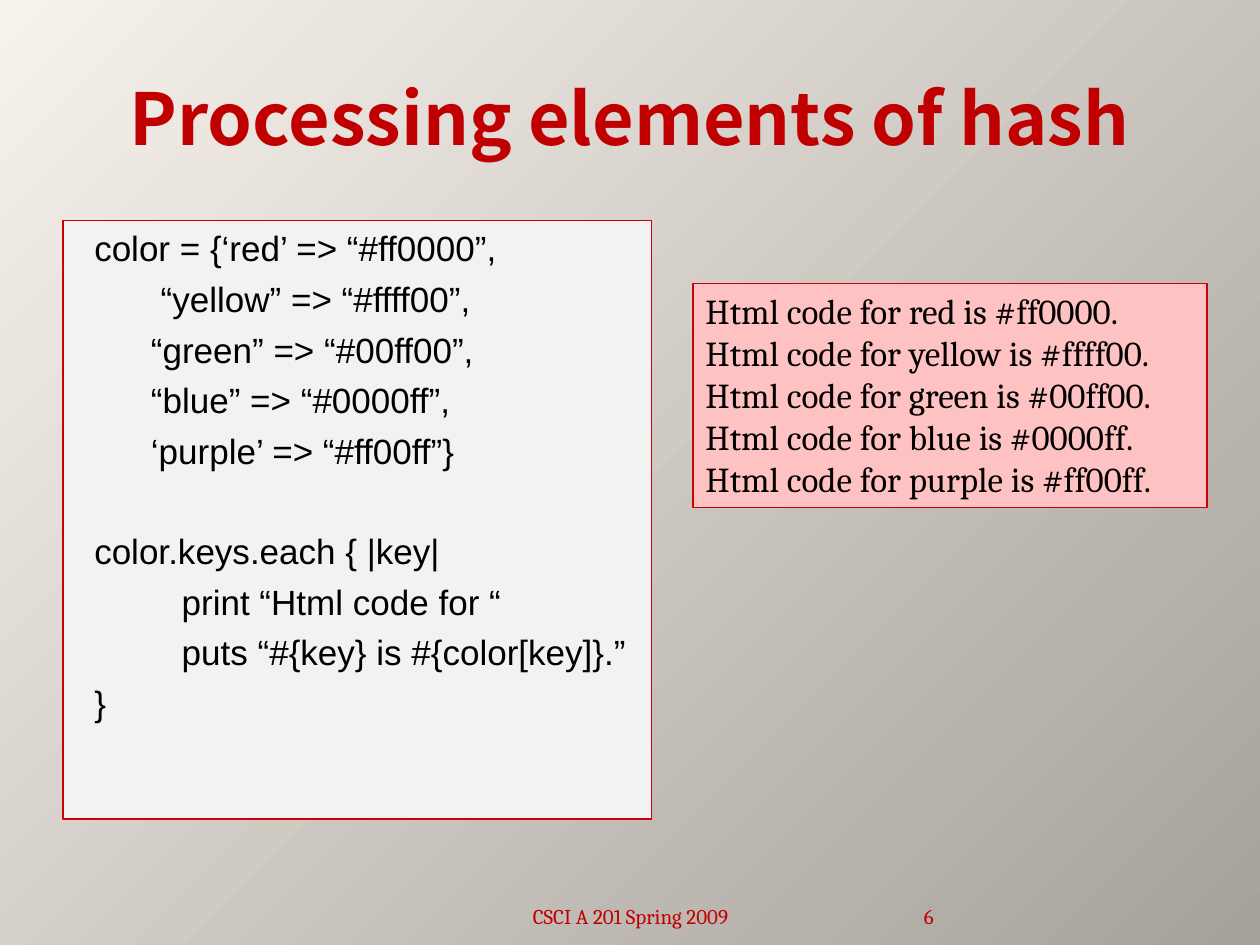
from pptx import Presentation
from pptx.dml.color import RGBColor
from pptx.enum.shapes import MSO_SHAPE
from pptx.enum.text import MSO_ANCHOR, PP_ALIGN
from pptx.util import Inches, Pt

COLORS = {
    "light": "F7F3EC",
    "dark": "A6A29B",
    "code": "F2F2F2",
    "output": "FFC2C2",
    "border": "CC0000",
    "accent": "C00000",
    "text": "000000",
}

CODE = [
    "color = {‘red’ => “#ff0000”,",
    "\t “yellow” => “#ffff00”,",
    "\t“green” => “#00ff00”,",
    "\t“blue” => “#0000ff”,",
    "\t‘purple’ => “#ff00ff”}",
    "color.keys.each { |key|",
    "         print “Html code for “",
    "         puts “#{key} is #{color[key]}.”",
    "}",
]
LOOP_START = 5

HTML_CODES = {
    "red": "#ff0000",
    "yellow": "#ffff00",
    "green": "#00ff00",
    "blue": "#0000ff",
    "purple": "#ff00ff",
}


def rgb(name):
    return RGBColor.from_string(COLORS[name])


def set_background(s):
    fill = s.background.fill
    fill.gradient()
    fill.gradient_angle = 315
    for stop, name in zip(fill.gradient_stops, ("light", "dark")):
        stop.color.rgb = rgb(name)


def write_lines(tf, lines, font, size, color="text", bold=False, align=PP_ALIGN.LEFT):
    tf.word_wrap = True
    for i, line in enumerate(lines):
        p = tf.add_paragraph() if i else tf.paragraphs[0]
        p.alignment = align
        r = p.add_run()
        r.text = line
        r.font.name = font
        r.font.size = Pt(size)
        r.font.bold = bold
        r.font.color.rgb = rgb(color)


def add_label(s, box, text, font, size, align, anchor, bold=False):
    sp = s.shapes.add_textbox(*map(Inches, box))
    tf = sp.text_frame
    tf.vertical_anchor = anchor
    write_lines(tf, [text], font, size, "accent", bold, align)
    return tf


def add_panel(s, box, fill, lines, font):
    sp = s.shapes.add_shape(MSO_SHAPE.RECTANGLE, *map(Inches, box))
    sp.shadow.inherit = False
    sp.fill.solid()
    sp.fill.fore_color.rgb = rgb(fill)
    sp.line.color.rgb = rgb("border")
    sp.line.width = Pt(0.75)
    tf = sp.text_frame
    tf.vertical_anchor = MSO_ANCHOR.TOP
    write_lines(tf, lines, font, 20)
    return tf


def space_code(tf):
    for i, p in enumerate(tf.paragraphs):
        pPr = p._p.get_or_add_pPr()
        pPr.set("marL", str(Inches(0.6)))
        pPr.set("indent", str(Inches(-0.45)))
        if i:
            p.space_before = Pt(33 if i == LOOP_START else 5)


def main():
    prs = Presentation()
    prs.slide_width, prs.slide_height = Inches(10), Inches(7.5)
    s = prs.slides.add_slide(prs.slide_layouts[6])
    set_background(s)

    code = add_panel(s, (0.5, 1.75, 4.67, 4.75), "code", CODE, "Arial")
    space_code(code)
    add_label(s, (0.5, 0.3, 9, 1.25), "Processing elements of hash",
              "Noto Sans CJK SC", 41, PP_ALIGN.CENTER, MSO_ANCHOR.MIDDLE, True)
    add_label(s, (3.42, 7.02, 3.17, 0.4), "CSCI A 201 Spring 2009",
              "Cambria", 12, PP_ALIGN.CENTER, MSO_ANCHOR.BOTTOM)
    number = add_label(s, (6.58, 7.02, 0.83, 0.4), "6",
                       "Cambria", 12, PP_ALIGN.RIGHT, MSO_ANCHOR.BOTTOM)
    number.margin_left = number.margin_right = 0
    output = [f"Html code for {name} is {value}." for name, value in HTML_CODES.items()]
    add_panel(s, (5.5, 2.25, 4.08, 1.78), "output", output, "Cambria")

    prs.save("out.pptx")


if __name__ == "__main__":
    main()
